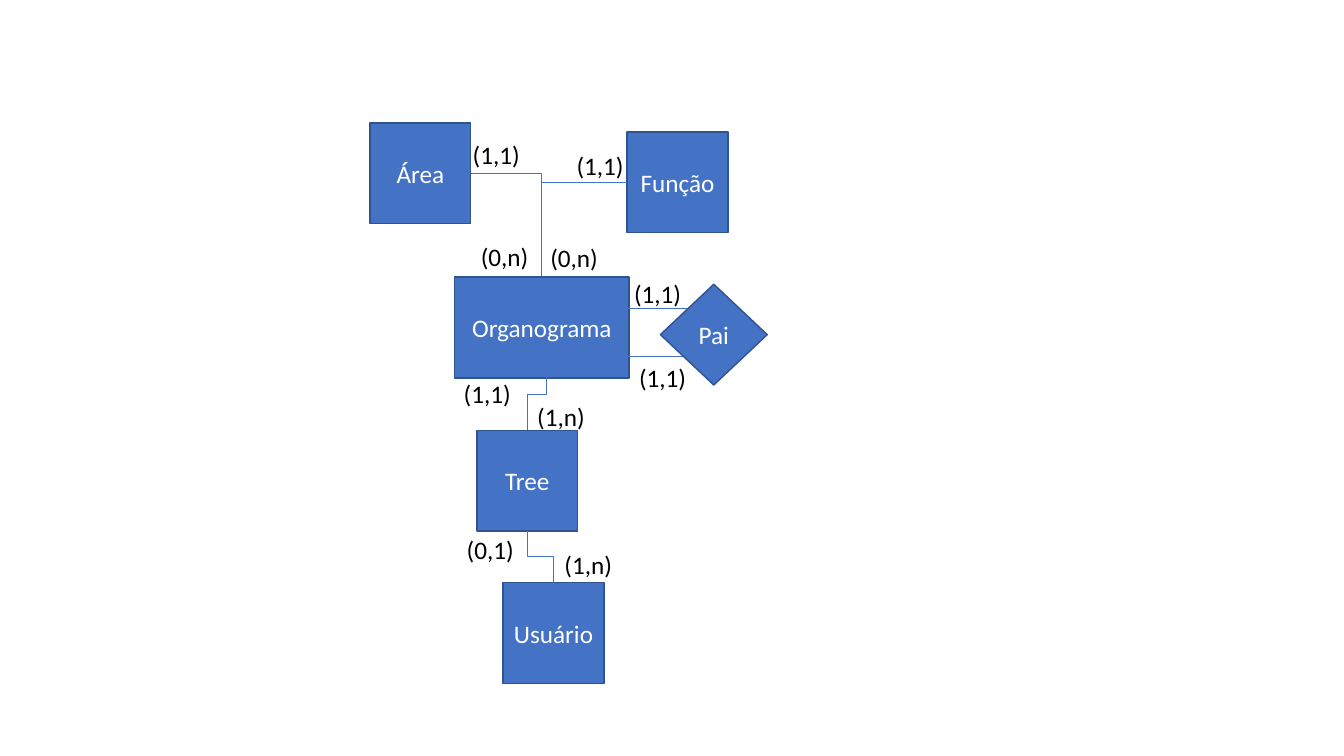
from collections import namedtuple

from lxml.etree import SubElement
from pptx import Presentation
from pptx.dml.color import RGBColor
from pptx.enum.shapes import MSO_CONNECTOR, MSO_SHAPE
from pptx.enum.text import MSO_ANCHOR, PP_ALIGN
from pptx.oxml.ns import qn
from pptx.util import Inches, Pt

# The grid has square cells, one entity wide and high
COLUMNS, ROWS = 13.33, 7.5
CELL = Inches(1)
FILL, OUTLINE, WHITE, BLACK = "4472C4", "31538F", "FFFFFF", "000000"

Box = namedtuple("Box", "left top width height")


def color(target, hex_code):
    target.rgb = RGBColor.from_string(hex_code)


def cells(*lengths):
    return [round(length * CELL) for length in lengths]


def top_middle(box):
    return box.left + box.width / 2, box.top


def bottom_middle(box):
    return box.left + box.width / 2, box.top + box.height


def write(shape, text, hex_code):
    shape.text_frame.text = text
    font = shape.text_frame.paragraphs[0].runs[0].font
    font.name, font.size = "Calibri", Pt(18)
    color(font.color, hex_code)


def entity(slide, box, name, kind=MSO_SHAPE.RECTANGLE):
    shape = slide.shapes.add_shape(kind, *cells(*box))
    shape.shadow.inherit = False
    shape.fill.solid()
    color(shape.fill.fore_color, FILL)
    color(shape.line.color, OUTLINE)
    shape.line.width = Pt(1)
    write(shape, name, WHITE)
    shape.text_frame.vertical_anchor = MSO_ANCHOR.MIDDLE
    shape.text_frame.paragraphs[0].alignment = PP_ALIGN.CENTER


def cardinality(slide, left, top, text):
    label = slide.shapes.add_textbox(*cells(left, top, 0.68, 0.4))
    label.text_frame.word_wrap = False
    write(label, text, BLACK)


def link(slide, begin, end, kind=MSO_CONNECTOR.STRAIGHT):
    line = slide.shapes.add_connector(kind, *cells(*begin, *end))
    color(line.line.color, FILL)
    line.line.width = Pt(0.75)
    SubElement(line._element.spPr, qn("a:effectLst"))
    return line


def corner_link(slide, begin, end):
    """One bend: across, then down."""
    line = link(slide, begin, end, MSO_CONNECTOR.ELBOW)
    line._element.spPr.find(qn("a:prstGeom")).set("prst", "bentConnector2")


def step_link(slide, begin, end):
    """Two bends: vertical, across, vertical; laid flat, then turned by 90°."""
    middle_x, middle_y = (begin[0] + end[0]) / 2, (begin[1] + end[1]) / 2
    flat = [(middle_x + y - middle_y, middle_y - x + middle_x)
            for x, y in (begin, end)]
    line = link(slide, *flat, MSO_CONNECTOR.ELBOW)
    line._element.spPr.find(qn("a:xfrm")).set("rot", "5400000")


def draw_sources(slide, organogram):
    """Área and Função, both joined to the top of the organogram."""
    left, top = organogram.left, organogram.top
    area = Box(left - 0.84, top - 1.53, 1, 1)
    role = Box(left + 1.71, top - 1.44, 1, 1)
    entity(slide, area, "Área")
    entity(slide, role, "Função")
    for side, middle in ((area.left + area.width, area.top + area.height / 2),
                         (role.left, role.top + role.height / 2)):
        corner_link(slide, (side, middle), top_middle(organogram))
    cardinality(slide, left + 0.08, top - 1.42, "(1,1)")
    cardinality(slide, left + 0.16, top - 0.41, "(0,n)")
    cardinality(slide, left + 1.11, top - 1.31, "(1,1)")
    cardinality(slide, left + 0.85, top - 0.39, "(0,n)")


def draw_organogram(slide, organogram):
    """The organogram and its relation to its own parent."""
    entity(slide, organogram, "Organograma")
    right, top = organogram.left + organogram.width, organogram.top
    for drop in (0.31, 0.79):
        link(slide, (right - 0.02, top + drop), (right + 0.64, top + drop))
    entity(slide, Box(right + 0.31, top + 0.07, 1.06, 1), "Pai",
           MSO_SHAPE.DIAMOND)
    cardinality(slide, right - 0.05, top - 0.04, "(1,1)")
    cardinality(slide, right, top + 0.8, "(1,1)")


def draw_descendants(slide, organogram):
    """Tree and Usuário, chained below the organogram."""
    left, bottom = organogram.left, organogram.top + organogram.height
    tree = Box(left + 0.22, bottom + 0.52, 1, 1)
    user = Box(left + 0.48, bottom + 2.03, 1, 1)
    entity(slide, user, "Usuário")
    entity(slide, tree, "Tree")
    step_link(slide, (left + 0.91, bottom - 0.2), top_middle(tree))
    step_link(slide, top_middle(user), bottom_middle(tree))
    cardinality(slide, left - 0.01, bottom - 0.05, "(1,1)")
    cardinality(slide, left + 0.72, bottom + 0.18, "(1,n)")
    cardinality(slide, left + 0.02, bottom + 1.5, "(0,1)")
    cardinality(slide, left + 0.99, bottom + 1.65, "(1,n)")


def main():
    deck = Presentation()
    deck.slide_width, deck.slide_height = cells(COLUMNS, ROWS)
    slide = deck.slides.add_slide(deck.slide_layouts[6])
    organogram = Box(4.51, 2.75, 1.73, 1)
    draw_sources(slide, organogram)
    draw_organogram(slide, organogram)
    draw_descendants(slide, organogram)
    deck.save("out.pptx")


if __name__ == "__main__":
    main()
